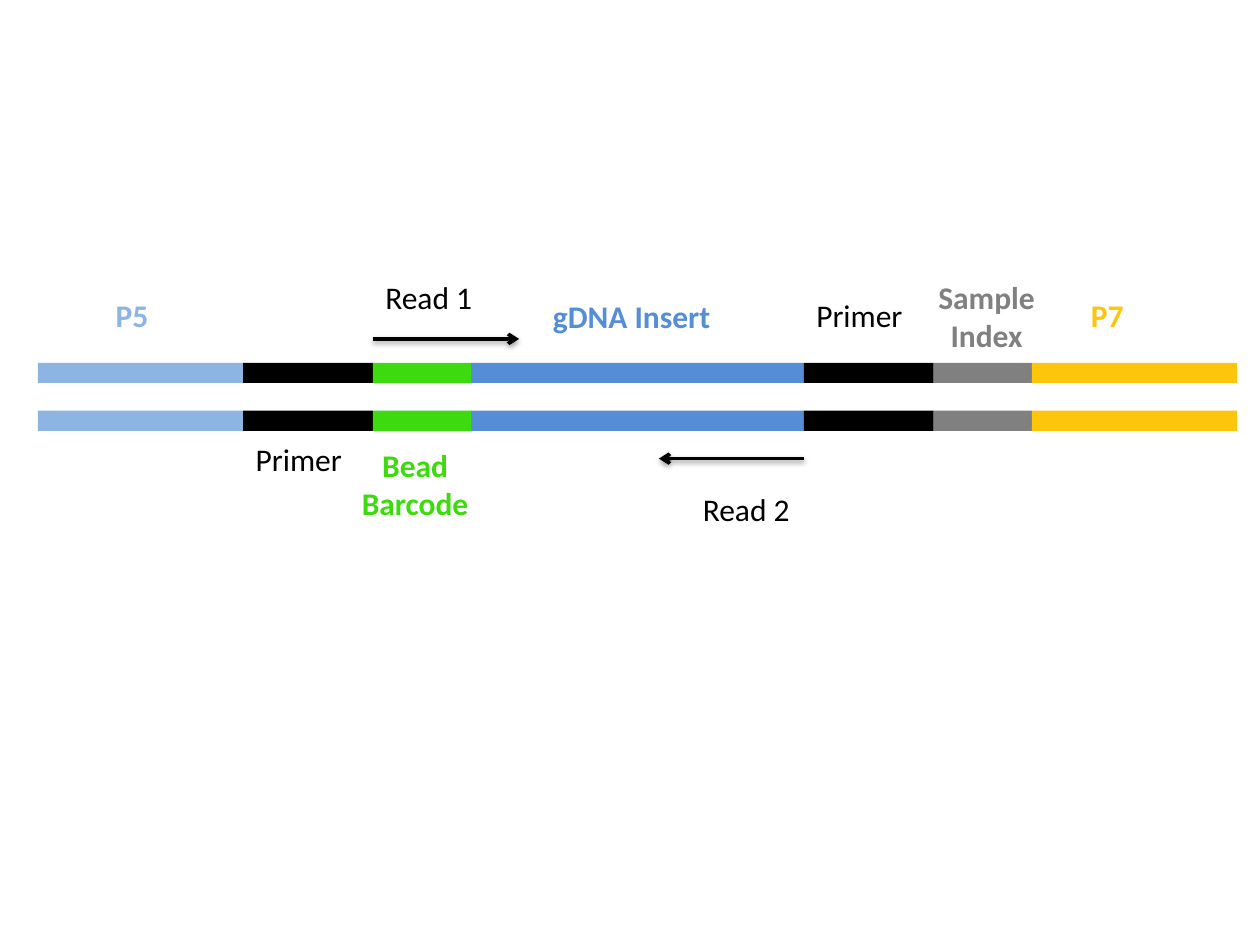
"""Draw the layout of a sequencing library construct with its two reads."""
import dataclasses

import lxml.etree
import pptx
import pptx.dml.color
import pptx.enum.shapes
import pptx.enum.text
import pptx.oxml
import pptx.oxml.ns
import pptx.util

Inches = pptx.util.Inches


@dataclasses.dataclass(frozen=True)
class Theme:
    """Colours and type of the slide."""
    font: str = "Calibri"
    size: int = 18
    black: str = "000000"
    p5: str = "8EB4E3"
    barcode: str = "3CDA0E"
    insert: str = "558ED5"
    index: str = "808080"
    p7: str = "FEC50D"


class Page:
    """Holds the theme and the current slide."""

    def __init__(self, deck, theme):
        """Add a blank slide to the deck."""
        self.theme = theme
        self.shapes = deck.slides.add_slide(deck.slide_layouts[6]).shapes

    def segment(self, left, top, width, height, color):
        """Draw one plain coloured segment."""
        box = self.shapes.add_shape(
            pptx.enum.shapes.MSO_SHAPE.RECTANGLE,
            Inches(left), Inches(top), Inches(width), Inches(height))
        box.shadow.inherit = False
        box.fill.solid()
        box.fill.fore_color.rgb = pptx.dml.color.RGBColor.from_string(color)
        box.line.fill.background()

    def strand(self, left, top, height, segments):
        """Draw segments end to end."""
        for width, color in segments:
            self.segment(left, top, width, height, color)
            left += width

    def label(self, text, left, top, width, height, color, bold=False, centered=False, wrap=False):
        """Write a label in one colour."""
        box = self.shapes.add_textbox(Inches(left), Inches(top), Inches(width), Inches(height))
        frame = box.text_frame
        frame.text = text
        frame.word_wrap = wrap
        frame.auto_size = pptx.enum.text.MSO_AUTO_SIZE.SHAPE_TO_FIT_TEXT
        for para in frame.paragraphs:
            if centered:
                para.alignment = pptx.enum.text.PP_ALIGN.CENTER
            for span in para.runs:
                span.font.name = self.theme.font
                span.font.size = pptx.util.Pt(self.theme.size)
                span.font.bold = bold
                span.font.color.rgb = pptx.dml.color.RGBColor.from_string(color)

    def arrow(self, start, end, top):
        """Draw a horizontal arrow with a soft shadow."""
        line = self.shapes.add_connector(
            pptx.enum.shapes.MSO_CONNECTOR.STRAIGHT,
            Inches(start), Inches(top), Inches(end), Inches(top))
        line.line.width = pptx.util.Pt(2)
        line.line.color.rgb = pptx.dml.color.RGBColor.from_string(self.theme.black)
        head = lxml.etree.SubElement(line.line._get_or_add_ln(), pptx.oxml.ns.qn("a:tailEnd"))
        head.set("type", "arrow")
        line._element.spPr.append(pptx.oxml.parse_xml(
            f'<a:effectLst {pptx.oxml.ns.nsdecls("a")}>'
            '<a:outerShdw blurRad="40000" dist="20000" dir="5400000" rotWithShape="0">'
            f'<a:srgbClr val="{self.theme.black}"><a:alpha val="38000"/></a:srgbClr>'
            '</a:outerShdw></a:effectLst>'))


theme = Theme()
deck = pptx.Presentation()
deck.slide_width = Inches(10)
deck.slide_height = Inches(7.5)
page = Page(deck, theme)

segments = [
    (1.63, theme.p5),
    (1.03, theme.black),
    (0.78, theme.barcode),
    (2.64, theme.insert),
    (1.03, theme.black),
    (0.78, theme.index),
    (1.63, theme.p7),
]
for strand_top in (2.88, 3.26):
    page.strand(0.3, strand_top, 0.16, segments)

page.label("P5", 0.82, 2.3, 0.46, 0.4, theme.p5, bold=True)
page.label("Primer", 1.93, 3.44, 0.89, 0.4, theme.black)
page.label("Bead Barcode", 2.73, 3.49, 1.13, 0.71, theme.barcode, bold=True, centered=True, wrap=True)
page.label("gDNA Insert", 4.29, 2.31, 1.46, 0.4, theme.insert, bold=True)
page.label("Primer", 6.38, 2.3, 0.89, 0.4, theme.black)
page.label("Sample\nIndex", 7.34, 2.16, 0.98, 0.71, theme.index, bold=True, centered=True)
page.label("P7", 8.56, 2.3, 0.47, 0.4, theme.p7, bold=True)

page.arrow(2.96, 4.12, 2.69)
page.arrow(6.38, 5.23, 3.64)
page.label("Read 1", 2.96, 2.16, 0.9, 0.4, theme.black)
page.label("Read 2", 5.48, 3.84, 0.9, 0.4, theme.black)

deck.save("out.pptx")
